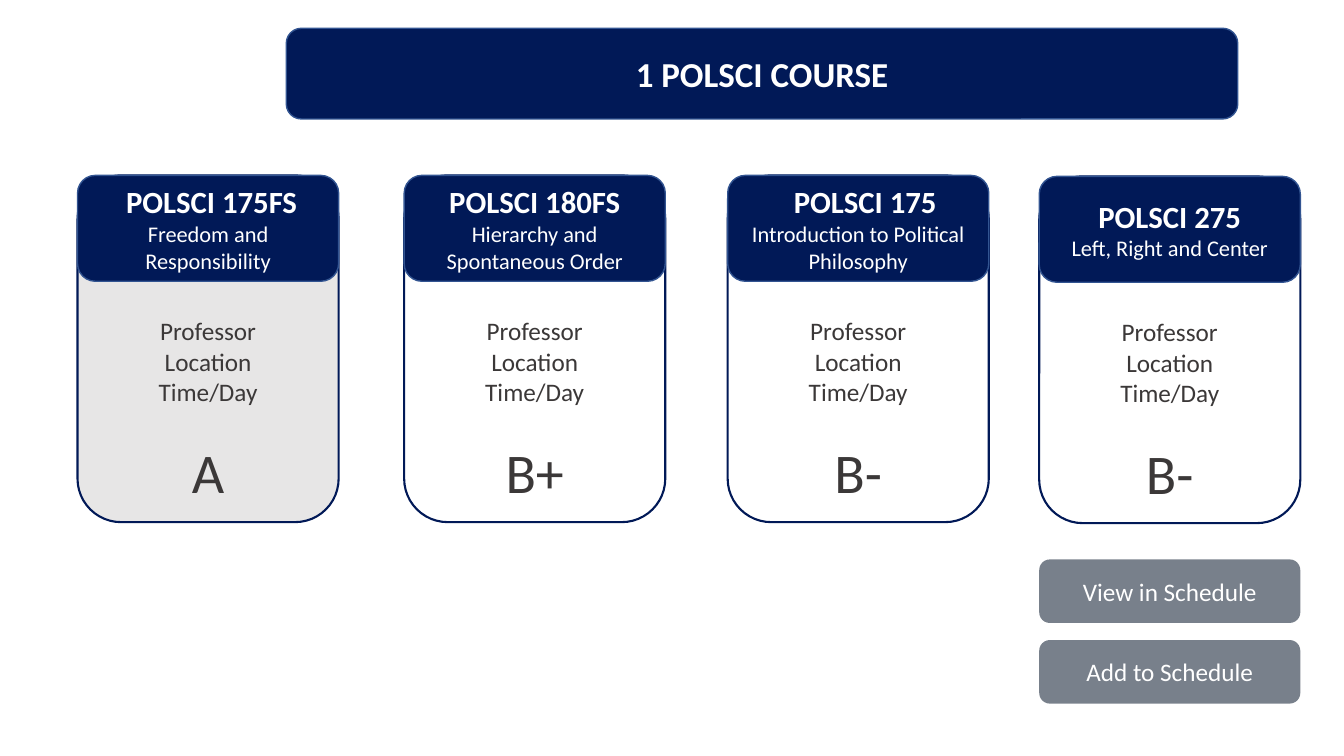
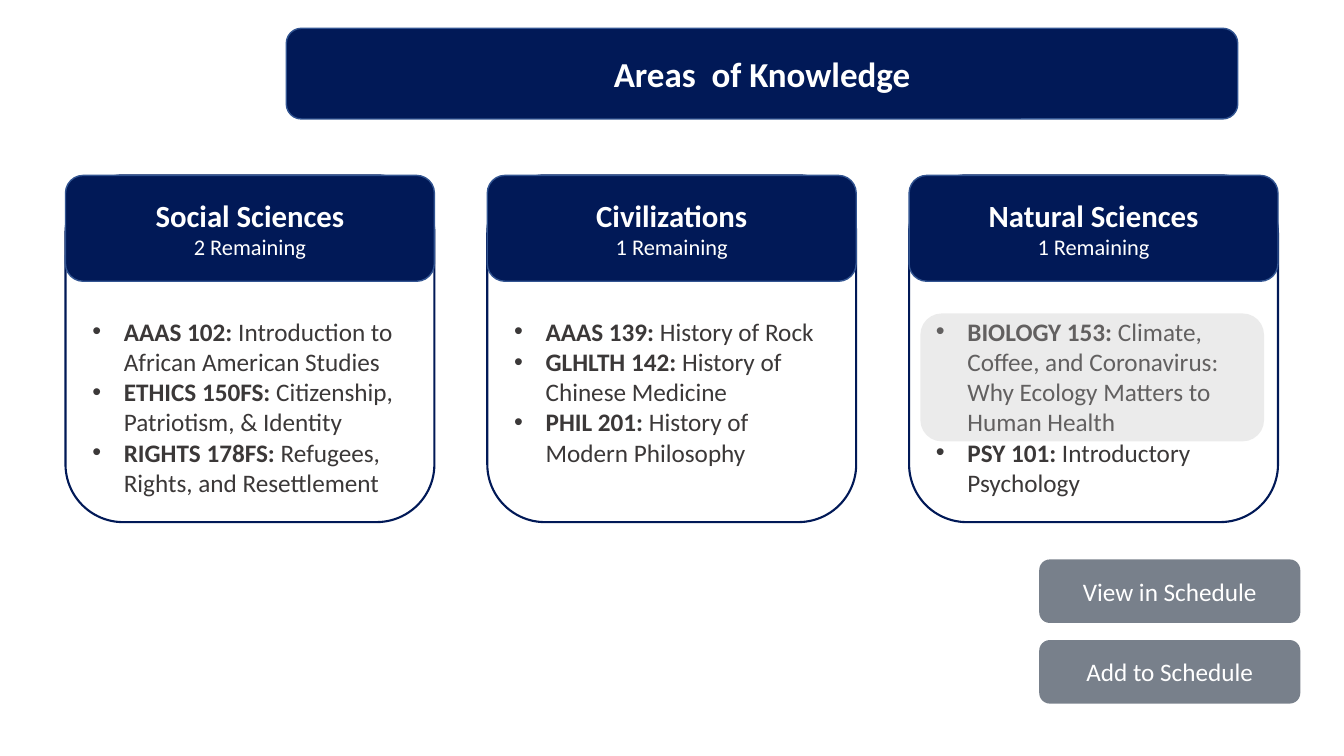
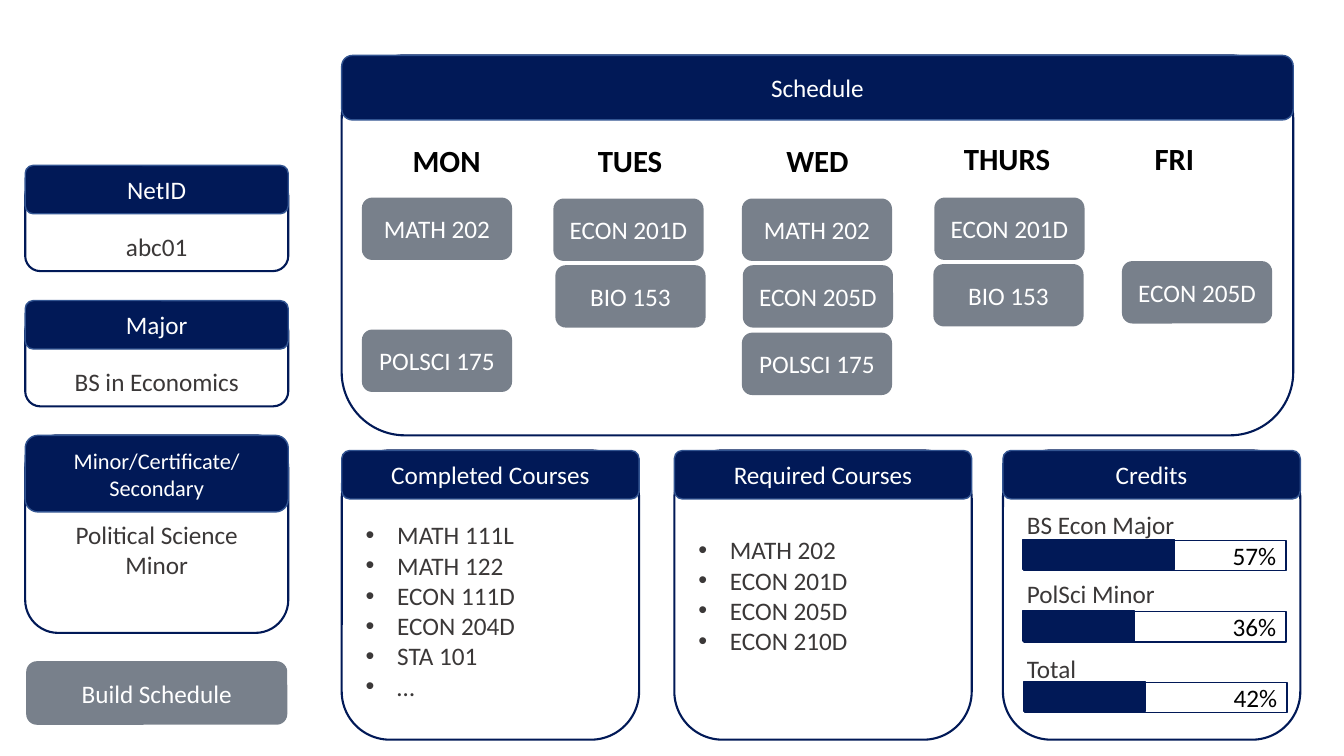
"""Build three course-planning slides: course choices, knowledge areas and a weekly schedule."""
from dataclasses import dataclass
from typing import NamedTuple, Optional

from lxml.etree import SubElement
from pptx import Presentation
from pptx.dml.color import RGBColor
from pptx.enum.shapes import MSO_SHAPE
from pptx.enum.text import MSO_ANCHOR, PP_ALIGN
from pptx.oxml.ns import qn
from pptx.shapes.autoshape import Shape
from pptx.shapes.shapetree import GroupShapes, SlideShapes
from pptx.slide import Slide
from pptx.util import Pt

NAVY, NAVY_EDGE, SLATE = "011957", "325491", "333F50"
WHITE, BLACK, INK = "FFFFFF", "000000", "3B3838"
TAKEN, HIGHLIGHT = "E7E6E6", "BFBFBF"
FONT = "Calibri"
BODY_SIZE = 18
LINE_HEIGHT = 22
BULLET_INDENT = 22.5
SIDE_INSET, TOP_INSET = 7.2, 3.6
BUTTON_WIDTH, BUTTON_HEIGHT = 186.5, 45.4
SLOT_WIDTH, SLOT_HEIGHT = 107.3, 44.6


class Frame(NamedTuple):
    left: float
    top: float
    width: float
    height: float


class Span(NamedTuple):
    text: str
    bold: bool = False


@dataclass(frozen=True)
class Para:
    spans: tuple[Span, ...]
    size: float = BODY_SIZE
    color: str = INK
    align: PP_ALIGN = PP_ALIGN.CENTER
    bullet: bool = False
    indent: float = 0
    before: float = 0


@dataclass(frozen=True)
class Card:
    body: Frame
    header: Frame
    heading: tuple[Para, ...]
    content: tuple[Para, ...] = ()
    anchor: MSO_ANCHOR = MSO_ANCHOR.MIDDLE
    fill: str = WHITE
    top_inset: float = TOP_INSET


class Course(NamedTuple):
    left: float
    top: float
    code: str
    title: str
    grade: str
    fill: str = WHITE
    indent: float = 0


class Area(NamedTuple):
    name: str
    remaining: int
    courses: tuple[tuple[str, str], ...]


class Bar(NamedTuple):
    left: float
    top: float
    done: float
    label: str


class Label(NamedTuple):
    left: float
    top: float
    text: str


COURSES = (
    Course(55.4, 125.3, "POLSCI 175FS", "Freedom and Responsibility", "A", TAKEN, 5),
    Course(288.7, 125.3, "POLSCI 180FS", "Hierarchy and Spontaneous Order", "B+"),
    Course(519.8, 125.3, "POLSCI 175", "Introduction to Political Philosophy", "B-", indent=10),
    Course(742.3, 126, "POLSCI 275", "Left, Right and Center", "B-"),
)
AREAS = (
    Area("Social Sciences", 2, (
        ("AAAS 102:", " Introduction to African American Studies"),
        ("ETHICS 150FS:", " Citizenship, Patriotism, & Identity"),
        ("RIGHTS 178FS:", " Refugees, Rights, and Resettlement"),
    )),
    Area("Civilizations", 1, (
        ("AAAS 139:", " History of Rock"),
        ("GLHLTH 142:", " History of Chinese Medicine"),
        ("PHIL 201:", " History of Modern Philosophy"),
    )),
    Area("Natural Sciences", 1, (
        ("BIOLOGY 153:", " Climate, Coffee, and Coronavirus: Why Ecology Matters to Human Health"),
        ("PSY 101:", " Introductory Psychology"),
    )),
)
DAYS = (
    Label(258.5, 97.9, "MON"),
    Label(389.5, 97.9, "TUES"),
    Label(523.4, 97.9, "WED"),
    Label(658.8, 96.5, "THURS"),
    Label(778.3, 96.5, "FRI"),
)
SLOTS = (
    Label(258.5, 141.1, "MATH 202"),
    Label(258.5, 235.4, "POLSCI 175"),
    Label(395.3, 141.8, "ECON 201D"),
    Label(396.7, 189.4, "BIO 153"),
    Label(529.9, 141.8, "MATH 202"),
    Label(530.6, 189.4, "ECON 205D"),
    Label(529.9, 237.6, "POLSCI 175"),
    Label(667.4, 141.1, "ECON 201D"),
    Label(666.7, 188.6, "BIO 153"),
    Label(801.4, 186.5, "ECON 205D"),
)
BARS = (
    Bar(731.5, 385.9, 108, "57%"),
    Bar(731.5, 437, 79.2, "36%"),
    Bar(732.2, 487.4, 86.4, "42%"),
)


def rgb(color: str) -> RGBColor:
    """Turn a hex string into a colour."""
    return RGBColor.from_string(color)


def plain(text: str, size: float = BODY_SIZE, color: str = INK, bold: bool = False, **style) -> Para:
    """Make a paragraph of a single span."""
    return Para((Span(text, bold),), size, color, **style)


def bullets(*items: tuple[str, str]) -> tuple[Para, ...]:
    """Make bulleted paragraphs, each a bold code and a plain title."""
    return tuple(
        Para(tuple(Span(text, bold) for text, bold in ((code, True), (title, False)) if text),
             align=PP_ALIGN.LEFT, bullet=True, indent=BULLET_INDENT)
        for code, title in items
    )


def write(box: Shape, paras: tuple[Para, ...], anchor: MSO_ANCHOR = MSO_ANCHOR.MIDDLE,
          top_inset: float = TOP_INSET) -> None:
    """Fill a box with styled paragraphs."""
    frame = box.text_frame
    frame.word_wrap = True
    frame.vertical_anchor = anchor
    frame.margin_left = frame.margin_right = Pt(SIDE_INSET)
    frame.margin_top, frame.margin_bottom = Pt(top_inset), Pt(TOP_INSET)
    for index, item in enumerate(paras):
        para = frame.paragraphs[0] if index == 0 else frame.add_paragraph()
        para.alignment = item.align
        if item.before:
            para.space_before = Pt(item.before)
        properties = para._p.get_or_add_pPr()
        if item.indent:
            properties.set("marL", str(Pt(item.indent)))
        if item.bullet:
            properties.set("indent", str(-Pt(item.indent)))
            SubElement(properties, qn("a:buFont"), typeface="Arial")
            SubElement(properties, qn("a:buChar"), char="•")
        for span in item.spans:
            for number, line in enumerate(span.text.split("\n")):
                if number:
                    para.add_line_break()
                run = para.add_run()
                run.text = line
                run.font.name = FONT
                run.font.size = Pt(item.size)
                run.font.bold = span.bold
                run.font.color.rgb = rgb(item.color)


def draw_box(shapes: SlideShapes | GroupShapes, frame: Frame, fill: str, line: Optional[str] = None,
             line_width: float = 1, opacity: int = 100,
             kind: MSO_SHAPE = MSO_SHAPE.ROUNDED_RECTANGLE) -> Shape:
    """Draw a filled box, by default rounded and without outline."""
    box = shapes.add_shape(kind, *(Pt(length) for length in frame))
    box.shadow.inherit = False
    box.fill.solid()
    box.fill.fore_color.rgb = rgb(fill)
    if opacity < 100:
        color = box.fill._xPr.find(qn("a:solidFill"))[0]
        SubElement(color, qn("a:alpha"), val=str(opacity * 1000))
    if line:
        box.line.color.rgb = rgb(line)
        box.line.width = Pt(line_width)
    else:
        box.line.fill.background()
    return box


def draw_banner(page: Slide, title: str) -> None:
    """Draw the title banner."""
    box = draw_box(page.shapes, Frame(204.5, 20.2, 679.7, 64.8), NAVY, NAVY_EDGE)
    write(box, (plain(title, 25, WHITE, True),))


def draw_card(page: Slide, card: Card) -> None:
    """Draw an outlined card with its navy header as one group."""
    group = page.shapes.add_group_shape()
    body = draw_box(group.shapes, card.body, card.fill, NAVY, 1.5)
    if card.content:
        write(body, card.content, card.anchor, card.top_inset)
    write(draw_box(group.shapes, card.header, NAVY, NAVY_EDGE), card.heading)


def draw_button(page: Slide, label: Label, width: float = BUTTON_WIDTH,
                height: float = BUTTON_HEIGHT) -> None:
    """Draw a translucent slate button."""
    box = draw_box(page.shapes, Frame(label.left, label.top, width, height), SLATE, opacity=66)
    write(box, (plain(label.text, color=WHITE),))


def draw_schedule_buttons(page: Slide) -> None:
    """Draw the two schedule buttons at the lower right."""
    draw_button(page, Label(742.3, 399.6, "View in Schedule"))
    draw_button(page, Label(742.3, 457.2, "Add to Schedule"))


def draw_bar(page: Slide, bar: Bar) -> None:
    """Draw a progress bar with its percentage."""
    group = page.shapes.add_group_shape()
    track = draw_box(group.shapes, Frame(bar.left, bar.top, 187.2, 21.6), WHITE, NAVY,
                     kind=MSO_SHAPE.RECTANGLE)
    write(track, (plain(bar.label, color=BLACK, align=PP_ALIGN.RIGHT),))
    draw_box(group.shapes, Frame(bar.left - 0.7, bar.top - 0.7, bar.done, 21.6), NAVY, NAVY,
             kind=MSO_SHAPE.RECTANGLE)


def build_courses(page: Slide) -> None:
    """Build the slide of course choices."""
    draw_banner(page, "1 POLSCI COURSE")
    for course in COURSES:
        details = tuple(plain(text) for text in ("Professor", "Location", "Time/Day"))
        draw_card(page, Card(
            Frame(course.left, course.top, 186.5, 247.7),
            Frame(course.left, course.top, 186.5, 75.6),
            (plain(course.code, 22, WHITE, True, indent=course.indent),
             plain(course.title, 16, WHITE)),
            details + (plain(course.grade, 40, before=LINE_HEIGHT),),
            MSO_ANCHOR.BOTTOM,
            course.fill,
        ))
    draw_schedule_buttons(page)


def build_areas(page: Slide) -> None:
    """Build the slide of knowledge areas."""
    draw_banner(page, "Areas  of Knowledge")
    for column, area in enumerate(AREAS):
        left = 46.8 + column * 301.3
        draw_card(page, Card(
            Frame(left, 125.3, 263.5, 247.7),
            Frame(left, 125.3, 263.5, 75.6),
            (plain(area.name, 22, WHITE, True), plain(f"{area.remaining} Remaining", 16, WHITE)),
            bullets(*area.courses),
            MSO_ANCHOR.TOP,
            top_inset=88.4,
        ))
    draw_schedule_buttons(page)
    draw_box(page.shapes, Frame(657.4, 223.9, 245.5, 91.4), HIGHLIGHT, opacity=30)


def build_schedule(page: Slide) -> None:
    """Build the slide of student details, weekly schedule and credits."""
    for row, (name, value) in enumerate((("NetID", "abc01"), ("Major", "BS in Economics"))):
        top = 118.1 + row * 96.6
        draw_card(page, Card(
            Frame(18, top + 10.8, 187.9, 64.8), Frame(18, top, 187.9, 34.6),
            (plain(name, color=WHITE),), (plain(value),), MSO_ANCHOR.BOTTOM,
        ))
    draw_card(page, Card(
        Frame(18, 311, 187.9, 141.1), Frame(18, 311, 187.9, 54.7),
        (plain("Minor/Certificate/\nSecondary", 16, WHITE),),
        (plain("Political Science Minor"),),
        top_inset=TOP_INSET + LINE_HEIGHT,
    ))
    draw_card(page, Card(
        Frame(244.1, 39.6, 679.7, 271.4), Frame(244.1, 39.6, 679.7, 46.1),
        (plain("Schedule", color=WHITE),),
    ))
    completed = ("MATH 111L", "MATH 122", "ECON 111D", "ECON 204D", "STA 101", "…")
    required = ("MATH 202", "ECON 201D", "ECON 205D", "ECON 210D")
    credits = tuple(
        plain(name, align=PP_ALIGN.LEFT, before=before)
        for name, before in (("BS Econ Major", 0), ("PolSci Minor", 28), ("Total", 31.7))
    )
    lists = (
        (244.1, "Completed Courses", bullets(*(("", name) for name in completed)),
         MSO_ANCHOR.MIDDLE, TOP_INSET + LINE_HEIGHT),
        (481.7, "Required Courses", bullets(*(("", name) for name in required)),
         MSO_ANCHOR.MIDDLE, TOP_INSET),
        (716.4, "Credits", credits, MSO_ANCHOR.TOP, TOP_INSET + 28),
    )
    for left, name, content, anchor, inset in lists:
        draw_card(page, Card(
            Frame(left, 321.8, 212.4, 206.6), Frame(left, 321.8, 212.4, 34.6),
            (plain(name, color=WHITE),), content, anchor, top_inset=inset,
        ))
    for bar in BARS:
        draw_bar(page, bar)
    draw_button(page, Label(18.7, 472.3, "Build Schedule"))
    for day in DAYS:
        box = page.shapes.add_textbox(Pt(day.left), Pt(day.top), Pt(121), Pt(33.8))
        write(box, (plain(day.text, 22, BLACK, True),), MSO_ANCHOR.TOP)
    for slot in SLOTS:
        draw_button(page, slot, SLOT_WIDTH, SLOT_HEIGHT)


def main() -> None:
    """Build the deck and save it."""
    deck = Presentation()
    deck.slide_width, deck.slide_height = Pt(960), Pt(540)
    for build in (build_courses, build_areas, build_schedule):
        build(deck.slides.add_slide(deck.slide_layouts[6]))
    deck.save("out.pptx")


if __name__ == "__main__":
    main()
